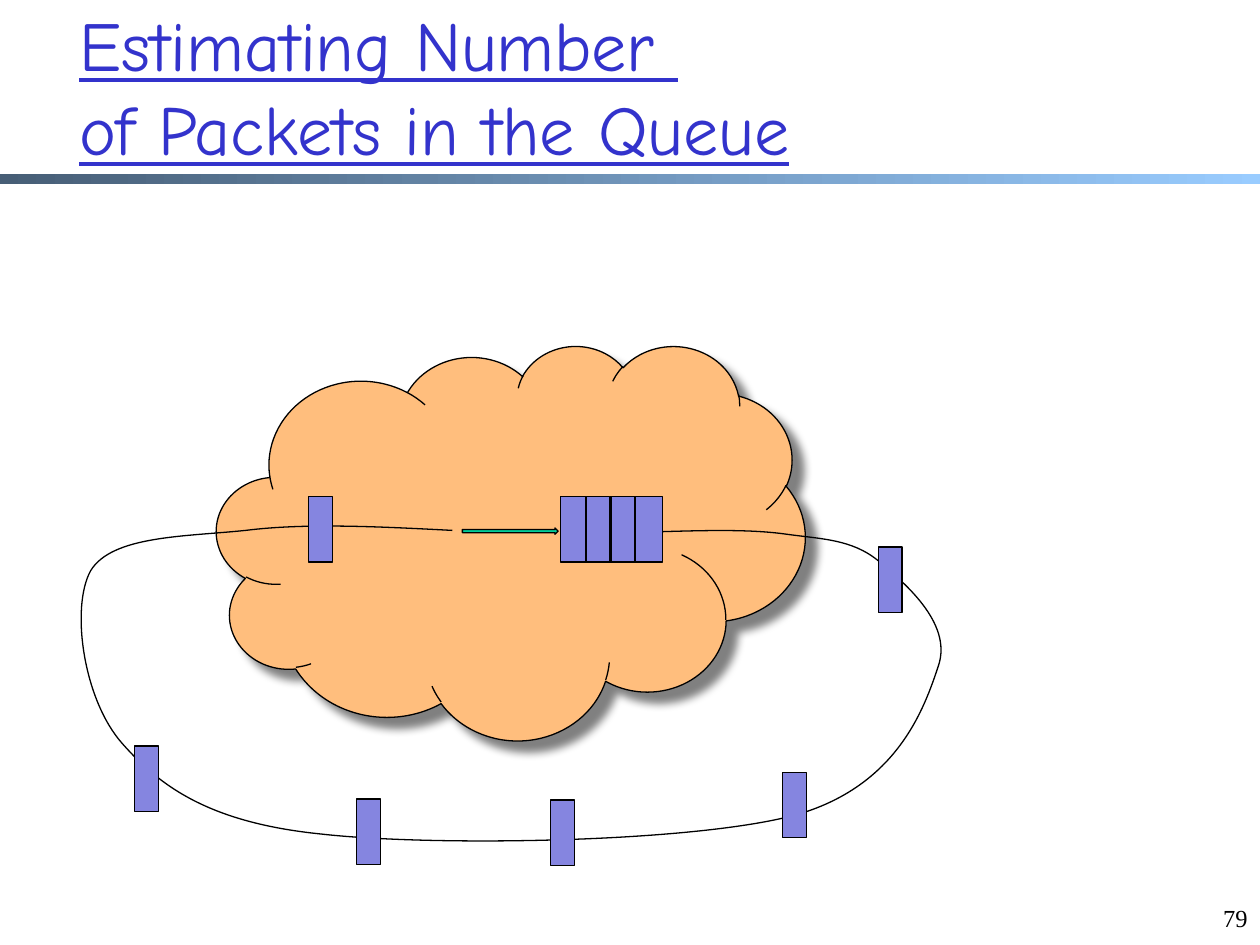
from dataclasses import dataclass

from lxml.etree import SubElement
from pptx import Presentation
from pptx.dml.color import RGBColor as Color
from pptx.enum.shapes import MSO_SHAPE as Preset
from pptx.enum.text import MSO_ANCHOR as Anchor, PP_ALIGN as Align
from pptx.oxml.ns import qn
from pptx.util import Inches, Pt


@dataclass(frozen=True)
class Theme:
    title: str = "3333CC"
    ink: str = "000000"
    cloud: str = "FFBE7D"
    packet: str = "8585E0"
    arrow: str = "00CC99"
    shadow: str = "808080"
    rule_start: str = "475E76"
    rule_end: str = "99CCFF"
    title_font: str = "Comic Neue"
    number_font: str = "Times New Roman"
    title_size: float = 40
    number_size: float = 14
    line_width: float = 0.75


THEME = Theme()
PACKET_SIZE = (0.19, 0.52)
QUEUE = (4.45, 3.94, 0.81, 0.52)
QUEUED_PACKETS = [(4.65, 3.94), (4.85, 3.94)]
TRAVELLING_PACKETS = [
    (6.97, 4.34), (6.21, 6.13), (4.37, 6.35),
    (2.83, 6.34), (1.07, 5.92), (2.45, 3.94),
]
LOOP = [
    (5.26, 4.22),
    (5.61, 4.21), (5.96, 4.2), (6.24, 4.24),
    (6.53, 4.28), (6.76, 4.28), (6.97, 4.45),
    (7.17, 4.62), (7.56, 4.94), (7.45, 5.28),
    (7.34, 5.61), (7.13, 6.24), (6.31, 6.47),
    (5.49, 6.69), (3.44, 6.72), (2.55, 6.62),
    (1.66, 6.53), (1.27, 6.24), (0.97, 5.9),
    (0.66, 5.55), (0.56, 4.82), (0.72, 4.53),
    (0.89, 4.25), (1.47, 4.26), (1.95, 4.21),
    (2.43, 4.15), (3.01, 4.18), (3.59, 4.21),
]


def rgb(value):
    return Color.from_string(value)


def add_text(page, text, area, *, font, size, color, underline=None,
             align=Align.LEFT, anchor=Anchor.TOP):
    box = page.shapes.add_textbox(*map(Inches, area))
    frame = box.text_frame
    frame.word_wrap = True
    frame.vertical_anchor = anchor
    para = frame.paragraphs[0]
    para.text = text
    para.alignment = align
    for span in para.runs:
        span.font.name = font
        span.font.size = Pt(size)
        span.font.color.rgb = rgb(color)
        span.font.underline = underline


def outline(shape):
    shape.line.color.rgb = rgb(THEME.ink)
    shape.line.width = Pt(THEME.line_width)


def add_solid(page, preset, area, color):
    shape = page.shapes.add_shape(preset, *map(Inches, area))
    shape.shadow.inherit = False
    shape.fill.solid()
    shape.fill.fore_color.rgb = rgb(color)
    outline(shape)
    return shape


def add_packets(page, places):
    for place in places:
        add_solid(page, Preset.RECTANGLE, place + PACKET_SIZE, THEME.packet)


def add_rule(page):
    area = map(Inches, (0, 1.38, 10, 0.08))
    rule = page.shapes.add_shape(Preset.RECTANGLE, *area)
    rule.shadow.inherit = False
    rule.line.fill.background()
    rule.fill.gradient()
    rule.fill.gradient_angle = 0
    for stop, color in zip(rule.fill.gradient_stops, (THEME.rule_start, THEME.rule_end)):
        stop.color.rgb = rgb(color)


def add_cloud(page):
    cloud = add_solid(page, Preset.CLOUD, (1.72, 2.74, 4.67, 3.13), THEME.cloud)
    effects = cloud._element.spPr.find(qn("a:effectLst"))
    shadow = SubElement(effects, qn("a:outerShdw"), blurRad=str(Pt(5)),
                        dist=str(Pt(8.5)), dir=str(45 * 60000),
                        algn="ctr", rotWithShape="0")
    SubElement(shadow, qn("a:srgbClr"), val=THEME.shadow)


def add_curve(page, points):
    start, *rest = [(Inches(x), Inches(y)) for x, y in points]
    builder = page.shapes.build_freeform(*start)
    builder.add_line_segments(rest, close=False)
    curve = builder.convert_to_shape()
    curve.shadow.inherit = False
    curve.fill.background()
    outline(curve)
    route = next(curve._element.iter(qn("a:path")))
    segments = route.findall(qn("a:lnTo"))
    for first in range(0, len(segments), 3):
        bend = SubElement(route, qn("a:cubicBezTo"))
        for segment in segments[first:first + 3]:
            bend.append(segment[0])
            route.remove(segment)


def main():
    deck = Presentation()
    deck.slide_width, deck.slide_height = Inches(10), Inches(7.5)
    page = deck.slides.add_slide(deck.slide_layouts[6])
    add_rule(page)
    add_text(page, "Estimating Number \vof Packets in the Queue", (0.53, 0.05, 8.5, 1.25),
             font=THEME.title_font, size=THEME.title_size, color=THEME.title,
             underline=True, anchor=Anchor.MIDDLE)
    add_text(page, "79", (9.5, 7.12, 0.5, 0.5), font=THEME.number_font,
             size=THEME.number_size, color=THEME.ink, align=Align.RIGHT)
    add_cloud(page)
    add_solid(page, Preset.RECTANGLE, QUEUE, THEME.packet)
    add_packets(page, QUEUED_PACKETS)
    add_solid(page, Preset.RIGHT_ARROW, (3.67, 4.19, 0.76, 0.05), THEME.arrow)
    add_curve(page, LOOP)
    add_packets(page, TRAVELLING_PACKETS)
    deck.save("out.pptx")


if __name__ == "__main__":
    main()
